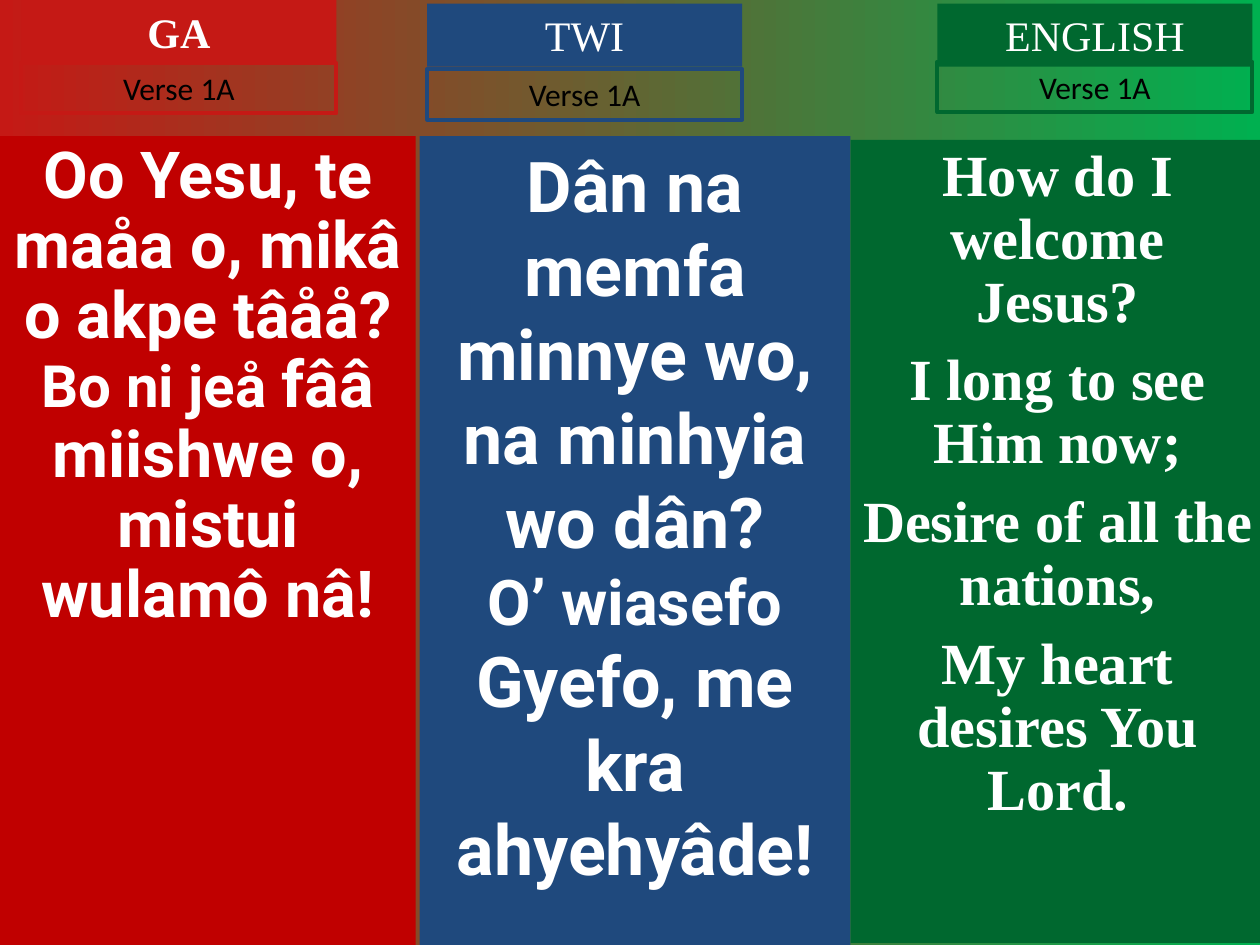
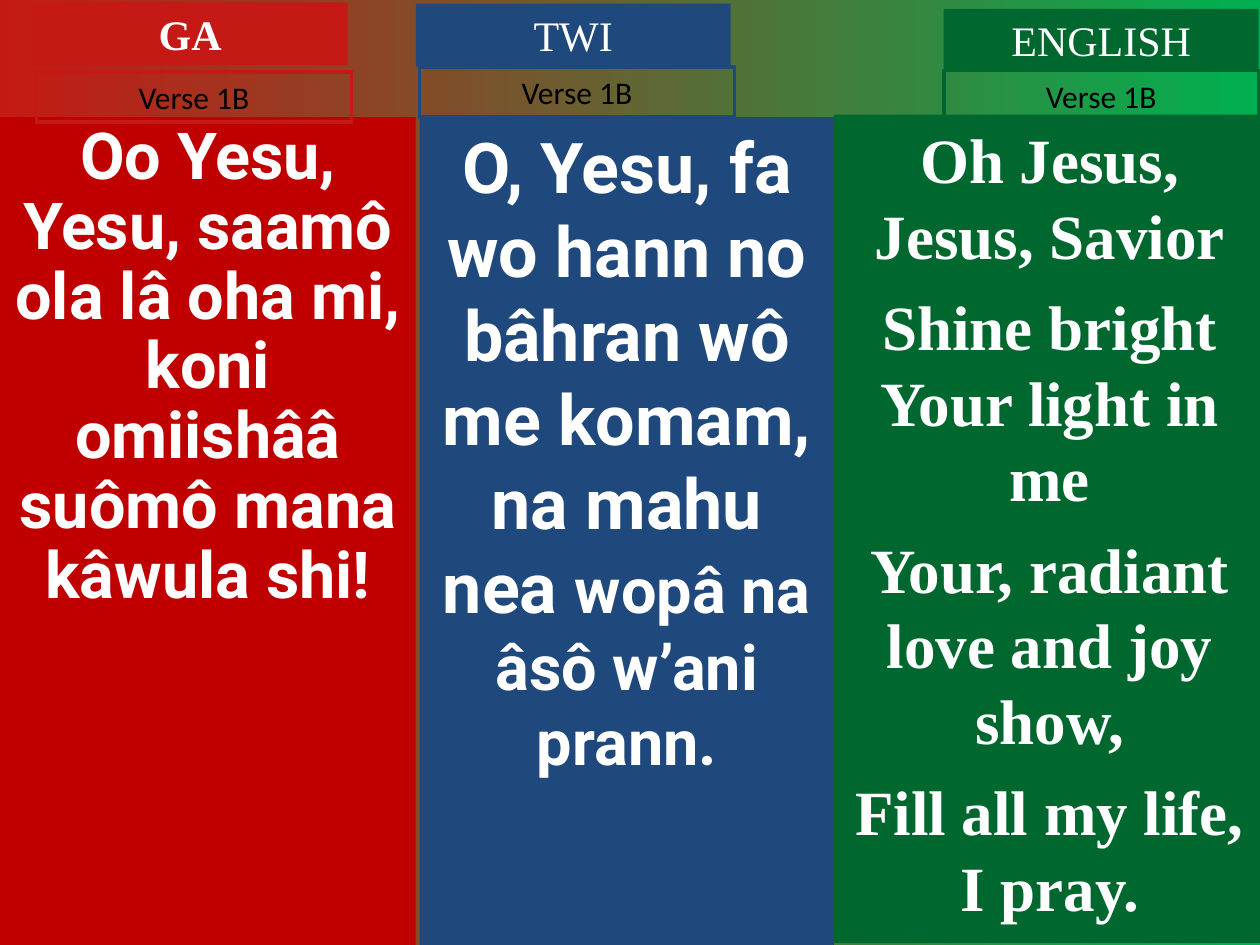
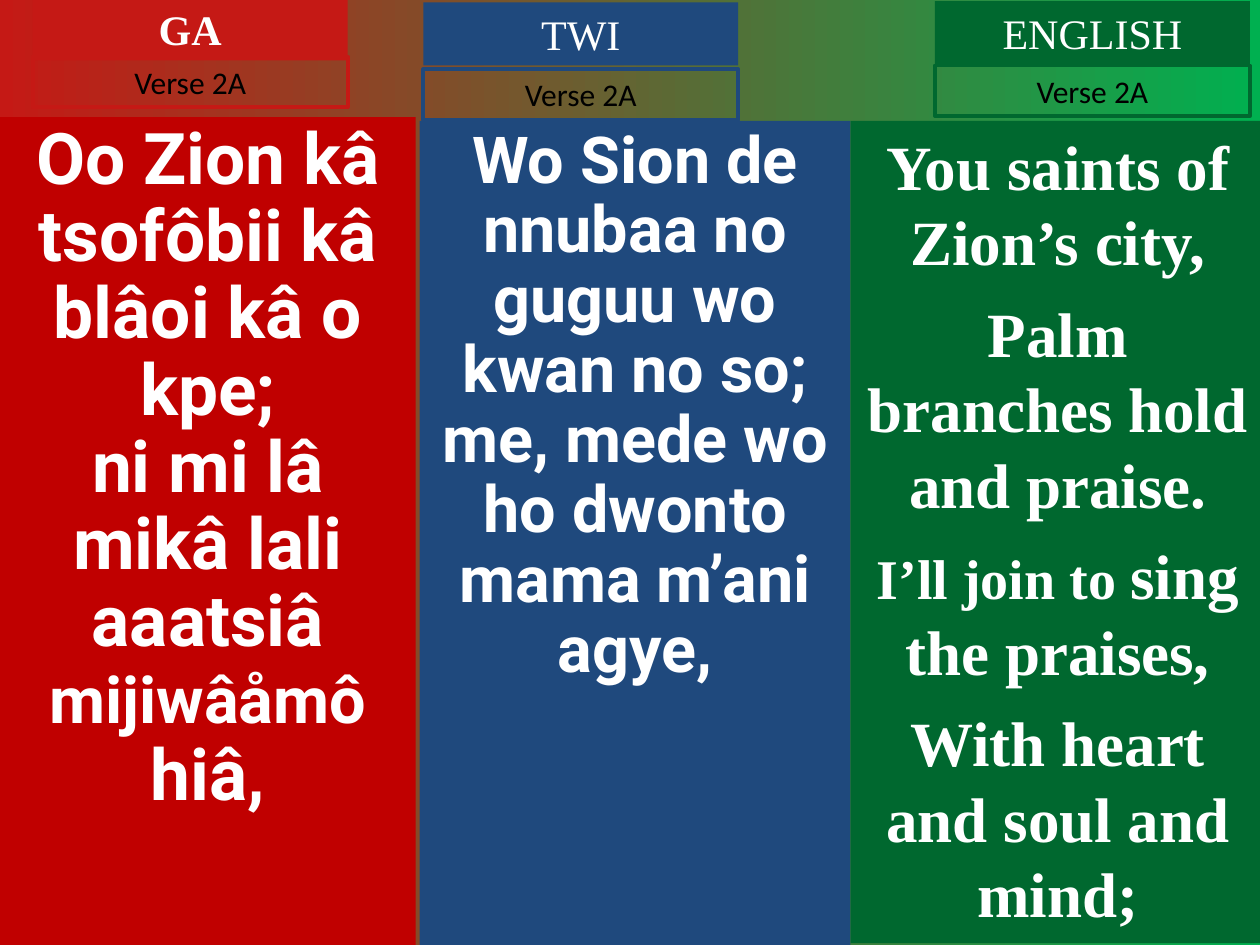
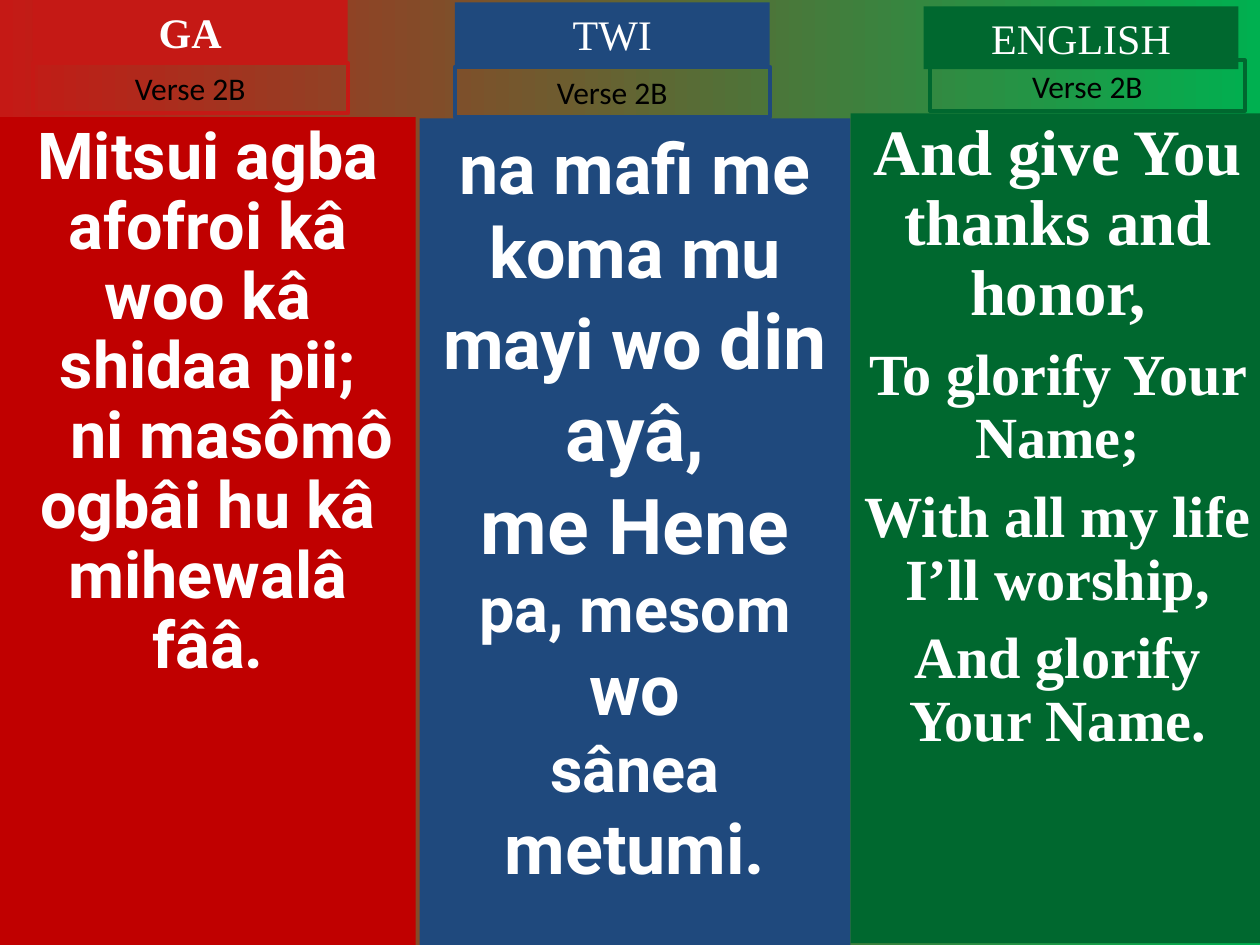
import dataclasses

import pptx
import pptx.dml.color
import pptx.enum.shapes
import pptx.enum.text
import pptx.util

Pt = pptx.util.Pt
SLIDE_WIDTH, SLIDE_HEIGHT = 720, 540
HEADER_SIZE = (180, 36)
LABEL_SIZE = (180, 28.8)
GRADIENT = ("C51915", "00B050")
WHITE, BLACK = "FFFFFF", "000000"
GA_RIGHT, TWI_LEFT = 237.6, 239.76
ENGLISH_RIGHT, ENGLISH_BOTTOM = 722.88, 538.9


@dataclasses.dataclass
class Language:
    name: str
    panel_color: str
    tag_color: str
    font: str
    header_bold: bool = False
    space_before: float = 0


@dataclasses.dataclass
class Verse:
    top: float
    header: tuple
    label: tuple
    size: float
    lines: list
    spacing: float = 1
    indents: dict = dataclasses.field(default_factory=dict)


GA = Language("GA", "C00000", "C51915", "Roboto", header_bold=True)
TWI = Language("TWI", "1F497D", "1F497D", "Roboto")
ENGLISH = Language("ENGLISH", "00682F", "00682F", "Times New Roman", space_before=9)

SONG = [
    ("Verse 1A", 486, [
        Verse(77.76, (12.24, 0), (12.24, 36), 37, [
            "Oo Yesu, te maåa o, mikâ o akpe tâåå?",
            [("Bo ni jeå ", 33.3), ("fââ miishwe o,", 37)],
            "mistui wulamô nâ!",
        ], 0.9),
        Verse(77.76, (244.08, 2.16), (244.08, 39.6), 40, [
            "Dân na memfa minnye wo,",
            "na minhyia wo dân?",
            [("O’ wiasefo ", 36), ("Gyefo, me kra ahyehyâde!", 40)],
        ]),
        Verse(79.92, (535.68, 2.16), (535.68, 35.28), 33.3, [
            "How do I welcome Jesus?",
            "I long to see Him now;",
            "Desire of all the nations,",
            "My heart desires You Lord.",
        ], 0.9),
    ]),
    ("Verse 1B", 476.64, [
        Verse(66.96, (18.72, 1.44), (20.88, 41.04), 37, [
            "Oo Yesu, Yesu, saamô ola lâ oha mi,",
            "koni omiishââ suômô mana kâwula shi!",
        ], 0.9),
        Verse(66.96, (237.6, 2.16), (239.76, 38.16), 40, [
            "O, Yesu, fa wo hann no bâhran wô me komam,",
            [("na mahu nea ", 40), ("wopâ na âsô w’ani prann.", 36)],
        ]),
        Verse(65.52, (539.28, 5.04), (539.28, 40.32), 36, [
            "Oh Jesus, Jesus, Savior",
            "Shine bright Your light in me",
            "Your, radiant love and joy show,",
            "Fill all my life, I pray.",
        ]),
    ]),
    ("Verse 2A", 486, [
        Verse(66.96, (18.72, -1.44), (18.72, 32.4), 40.7, [
            "Oo Zion kâ tsofôbii kâ blâoi kâ o kpe;",
            [("ni mi lâ mikâ lali aaatsiâ ", 40.7), ("mijiwâåmô", 37), (" hiâ,", 40.7)],
        ], 0.9),
        Verse(69.12, (241.92, 1.44), (241.92, 39.6), 37, [
            "Wo Sion de nnubaa no",
            "guguu wo kwan no so;",
            "me, mede wo ho dwonto",
            "mama m’ani agye,",
        ], 0.9),
        Verse(69.12, (534.24, 0.72), (534.24, 37.44), 36, [
            "You saints of Zion’s city,",
            "Palm branches hold and praise.",
            [("I’ll join to ", 32), ("sing the praises,", 36)],
            "With heart and soul and mind;",
        ]),
    ]),
    ("Verse 2B", 486, [
        Verse(66.96, (18.72, 0), (18.72, 36), 37, [
            "Mitsui agba afofroi kâ woo kâ shidaa pii;",
            "ni masômô ogbâi hu kâ mihewalâ fââ.",
        ], 0.9, {1: 27}),
        Verse(67.68, (259.92, 1.44), (259.92, 38.16), 40, [
            [("na mafi me koma mu mayi wo ", 40), ("din ayâ,", 44)],
            [("me Hene ", 44), ("pa, mesom ", 36), ("wo", 40)],
            [("sânea ", 36), ("metumi.", 40)],
        ]),
        Verse(64.8, (527.76, 3.6), (531.36, 34.56), 33.3, [
            [("And give You thanks and honor,", 37)],
            "To glorify Your Name;",
            "With all my life I’ll worship,",
            "And glorify Your Name.",
        ], 0.9),
    ]),
]


def rgb(value):
    return pptx.dml.color.RGBColor.from_string(value)


def style_font(font, name, size, color, bold=False):
    font.name = name
    font.size = Pt(size)
    font.bold = bold
    font.color.rgb = rgb(color)


def add_box(page, box, fill=None, line=None):
    shape = page.shapes.add_shape(
        pptx.enum.shapes.MSO_SHAPE.RECTANGLE, *(Pt(length) for length in box))
    shape.shadow.inherit = False
    if fill:
        shape.fill.solid()
        shape.fill.fore_color.rgb = rgb(fill)
    else:
        shape.fill.background()
    if line:
        shape.line.color.rgb = rgb(line)
        shape.line.width = Pt(2.25)
    else:
        shape.line.fill.background()
    shape.text_frame.word_wrap = True
    shape.text_frame.vertical_anchor = pptx.enum.text.MSO_ANCHOR.TOP
    return shape


def add_tag(page, box, text, font, size, color, bold=False, **paint):
    frame = add_box(page, box, **paint).text_frame
    frame.text = text
    frame.auto_size = pptx.enum.text.MSO_AUTO_SIZE.SHAPE_TO_FIT_TEXT
    para = frame.paragraphs[0]
    para.alignment = pptx.enum.text.PP_ALIGN.CENTER
    style_font(para.runs[0].font, font, size, color, bold)


def add_lyrics(page, box, language, verse):
    frame = add_box(page, box, fill=language.panel_color).text_frame
    for index, line in enumerate(verse.lines):
        para = frame.add_paragraph() if index else frame.paragraphs[0]
        para.alignment = pptx.enum.text.PP_ALIGN.CENTER
        para.line_spacing = verse.spacing
        para.space_before = Pt(language.space_before if index else 0)
        if index in verse.indents:
            para._p.get_or_add_pPr().set("indent", str(Pt(verse.indents[index])))
        parts = [(line, verse.size)] if isinstance(line, str) else line
        for text, size in parts:
            span = para.add_run()
            span.text = text
            style_font(span.font, language.font, size, WHITE, True)


def add_column(page, edges, language, verse, title):
    left, right, bottom = edges
    add_lyrics(page, (left, verse.top, right - left, bottom - verse.top), language, verse)
    add_tag(page, verse.header + HEADER_SIZE, language.name, "Times New Roman", 24,
            WHITE, language.header_bold, fill=language.tag_color)
    add_tag(page, verse.label + LABEL_SIZE, title, "Calibri", 18, BLACK,
            line=language.tag_color)


def paint_background(page):
    fill = page.background.fill
    fill.gradient()
    fill.gradient_angle = 0
    for stop, color, position in zip(fill.gradient_stops, GRADIENT, (0, 1)):
        stop.color.rgb = rgb(color)
        stop.position = position


def add_verse_slide(deck, title, divider, verses):
    page = deck.slides.add_slide(deck.slide_layouts[6])
    paint_background(page)
    columns = [
        (0, GA_RIGHT, SLIDE_HEIGHT),
        (TWI_LEFT, divider, SLIDE_HEIGHT),
        (divider, ENGLISH_RIGHT, ENGLISH_BOTTOM),
    ]
    for edges, language, verse in zip(columns, (GA, TWI, ENGLISH), verses):
        add_column(page, edges, language, verse, title)


def main():
    deck = pptx.Presentation()
    deck.slide_width, deck.slide_height = Pt(SLIDE_WIDTH), Pt(SLIDE_HEIGHT)
    for title, divider, verses in SONG:
        add_verse_slide(deck, title, divider, verses)
    deck.save("out.pptx")


if __name__ == "__main__":
    main()
